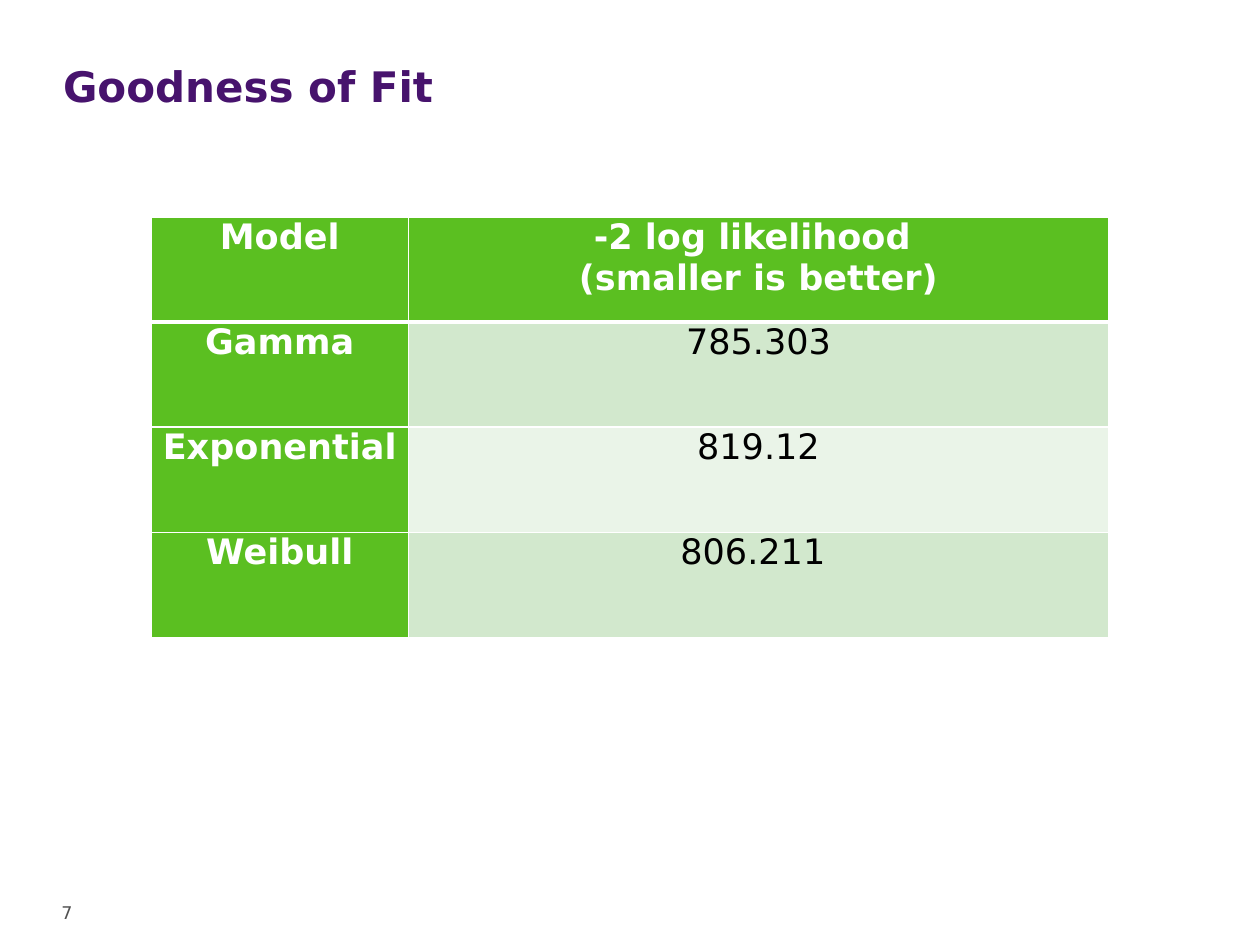
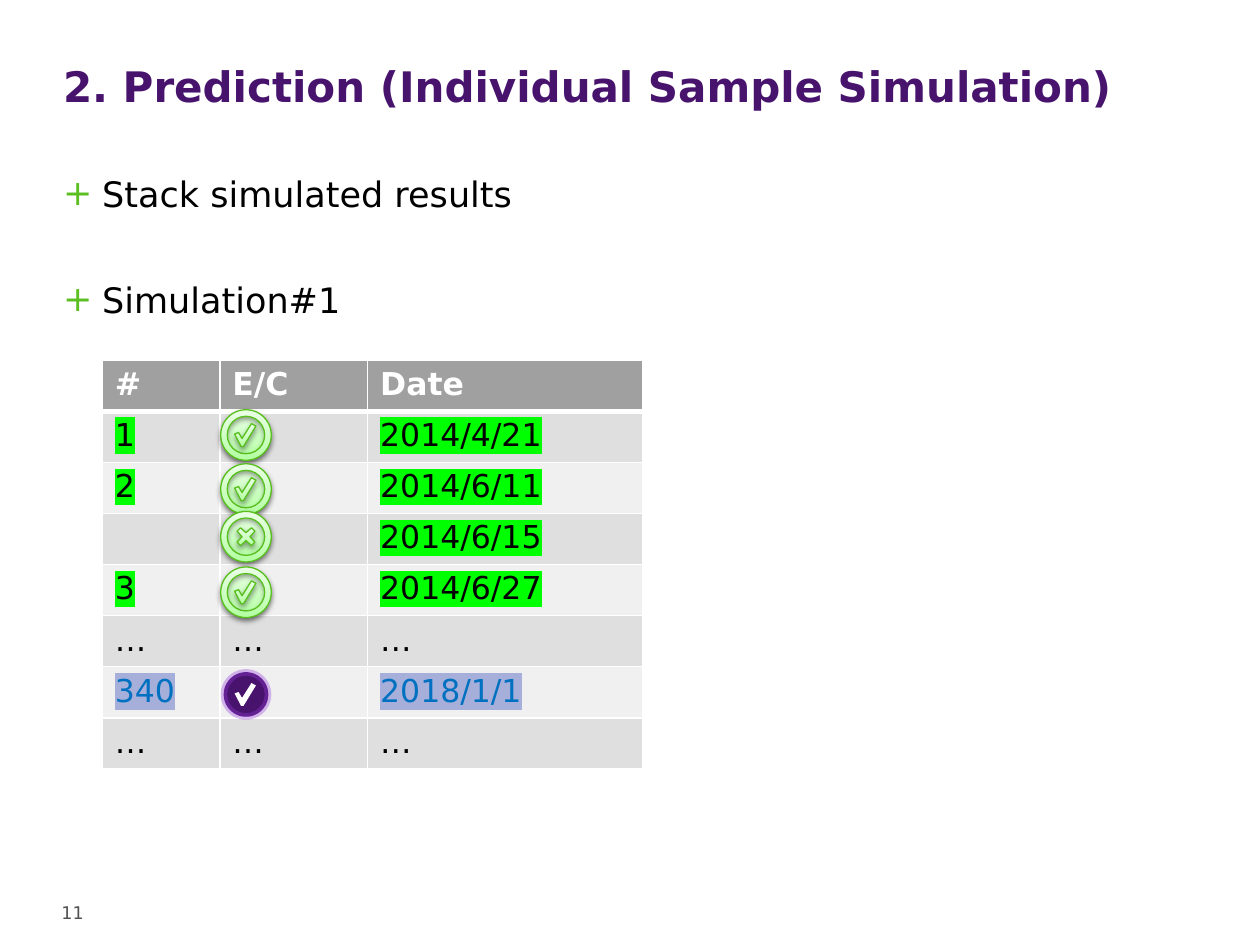
import copy

import pptx
import pptx.dml.color
import pptx.enum.shapes
import pptx.enum.text
import pptx.oxml
import pptx.oxml.ns
import pptx.util

Cm = pptx.util.Cm
Pt = pptx.util.Pt
qn = pptx.oxml.ns.qn
MSO_SHAPE = pptx.enum.shapes.MSO_SHAPE
ANCHOR = pptx.enum.text.MSO_ANCHOR
ALIGN = pptx.enum.text.PP_ALIGN

FONT = "DejaVu Sans"
COLORS = {
    "purple": "47136D", "violet": "993CDD", "green": "5BBF21", "white": "FFFFFF",
    "black": "000000", "page": "515151", "mint": "D2E8CD", "pale mint": "EAF4E8",
    "gray": "A0A0A0", "silver": "DFDFDF", "pale gray": "F0F0F0",
    "blue": "0070C0", "lime mark": "00FF00", "blue mark": "A6AFDA",
    "badge edge": "58BF1C", "badge low": "B2FFA0", "badge mid": "C8FFBC",
    "badge high": "EAFFE6",
}
BADGE_STOPS = [(0, "badge low"), (0.35, "badge mid"), (1, "badge high")]
BADGE_SIZE = 1.02
NO_INSETS = {"margin_left": 0, "margin_top": 0, "margin_right": 0, "margin_bottom": 0}

# Outlines in cm from the badge's top left corner
TICK = [(0.71, 0.33), (0.62, 0.28), (0.43, 0.58), (0.36, 0.46),
        (0.28, 0.49), (0.41, 0.74), (0.46, 0.74)]
CROSS_ARM = [(0, -0.08), (0.11, -0.18), (0.18, -0.11)]


def rgb(color):
    return pptx.dml.color.RGBColor.from_string(COLORS[color])


def set_values(target, values):
    for attribute, value in values.items():
        setattr(target, attribute, value)


def add_xml(parent, xml, index=None):
    """Insert an element of the drawing namespace, at the end by default."""
    tag, rest = xml[1:].split(" ", 1)
    element = pptx.oxml.parse_xml(f"<{tag} {pptx.oxml.ns.nsdecls('a')} {rest}")
    parent.insert(len(parent) if index is None else index, element)


def color_xml(color, inner=""):
    return f'<a:srgbClr val="{COLORS[color]}">{inner}</a:srgbClr>'


def format_font(font, size, color, bold=False):
    set_values(font, {"name": FONT, "size": Pt(size), "bold": bold})
    font.color.rgb = rgb(color)


def place(shape, left, top, width, height):
    set_values(shape, {"left": Cm(left), "top": Cm(top),
                       "width": Cm(width), "height": Cm(height)})


def format_frame(frame, anchor):
    set_values(frame, NO_INSETS | {"word_wrap": True, "vertical_anchor": anchor,
                                   "auto_size": pptx.enum.text.MSO_AUTO_SIZE.NONE})


def add_line(frame, text, size, color, bold=False):
    """Write text as the frame's first paragraph."""
    paragraph = frame.paragraphs[0]
    paragraph.alignment = ALIGN.LEFT
    run = paragraph.add_run()
    run.text = text
    format_font(run.font, size, color, bold)


def add_page(deck, layout, heading, number):
    page = deck.slides.add_slide(deck.slide_layouts[layout])
    title = page.shapes.title
    place(title, 1.27, 0.64, 22.86, 2.18)
    format_frame(title.text_frame, ANCHOR.MIDDLE)
    add_line(title.text_frame, heading, 24, "purple", True)

    page_number = page.shapes.add_textbox(Cm(1.24), Cm(18.08), Cm(1.09), Cm(0.64))
    format_frame(page_number.text_frame, ANCHOR.MIDDLE)
    add_line(page_number.text_frame, str(number), 10, "page")
    return page


def fill_bullets(page, bullets):
    """Write (text, space before) pairs into the body placeholder."""
    body = page.placeholders[1]
    place(body, 1.27, 3.48, 21.56, 13.94)
    frame = body.text_frame
    format_frame(frame, ANCHOR.TOP)
    frame.text = "\n".join(text for text, _ in bullets)
    for paragraph, (_, space) in zip(frame.paragraphs, bullets):
        paragraph.space_before = Pt(space)
        format_font(paragraph.runs[0].font, 20, "black")
        properties = paragraph._p.get_or_add_pPr()
        properties.set("marL", str(Cm(0.79)))
        properties.set("indent", str(-Cm(0.79)))
        add_xml(properties, f'<a:buClr >{color_xml("green")}</a:buClr>')
        add_xml(properties, f'<a:buFont typeface="{FONT}"/>')
        add_xml(properties, '<a:buChar char="+"/>')


def draw_borders(cell, row):
    """White rules, with a thicker one below the header row."""
    widths = {"lnL": 1, "lnR": 1, "lnT": 3 if row == 1 else 1, "lnB": 3 if row == 0 else 1}
    for index, (side, width) in enumerate(widths.items()):
        add_xml(cell._tc.get_or_add_tcPr(),
                f'<a:{side} w="{Pt(width)}"><a:solidFill>{color_xml("white")}'
                f'</a:solidFill></a:{side}>', index)


def add_grid(page, left, top, widths, row_height, rows, size, style, cell_format, alignment):
    """style(row, column) gives fill, text colour, bold and highlight."""
    table = page.shapes.add_table(len(rows), len(widths), Cm(left), Cm(top),
                                  Cm(sum(widths)), Cm(row_height * len(rows))).table
    table.horz_banding = False
    for column, width in zip(table.columns, widths):
        column.width = Cm(width)
    for r, texts in enumerate(rows):
        table.rows[r].height = Cm(row_height)
        for c, text in enumerate(texts):
            fill, color, bold, highlight = style(r, c)
            cell = table.cell(r, c)
            set_values(cell, cell_format)
            cell.fill.solid()
            cell.fill.fore_color.rgb = rgb(fill)
            draw_borders(cell, r)
            cell.text = text
            for paragraph in cell.text_frame.paragraphs:
                paragraph.alignment = alignment
                for run in paragraph.runs:
                    format_font(run.font, size, color, bold)
                    if highlight:
                        properties = run._r.get_or_add_rPr()
                        add_xml(properties,
                                f'<a:highlight >{color_xml(highlight)}</a:highlight>', 1)


def model_style(row, column):
    if row == 0 or column == 0:
        return "green", "white", True, None
    return ("mint" if row % 2 else "pale mint"), "black", False, None


def simulation_style(row, column):
    if row == 0:
        return "gray", "white", True, None
    fill = "silver" if row % 2 else "pale gray"
    if row == 6:
        return fill, "blue", False, "blue mark"
    return fill, "black", False, "lime mark" if row < 5 else None


def cross_outline():
    """Turn one arm of the cross through four quarter turns."""
    outline, arm, center = [], CROSS_ARM, BADGE_SIZE / 2
    for _ in range(4):
        outline += [(center + x, center + y) for x, y in arm]
        arm = [(-y, x) for x, y in arm]
    return outline


def format_glossy(shape):
    fill = shape.fill
    fill.gradient()
    fill.gradient_angle = 90
    stops = shape._element.spPr.find(qn("a:gradFill")).find(qn("a:gsLst"))
    stops.insert(1, copy.deepcopy(stops[0]))
    for stop, (position, color) in zip(fill.gradient_stops, BADGE_STOPS):
        stop.position = position
        stop.color.rgb = rgb(color)
    shape.line.color.rgb = rgb("badge edge")
    shape.line.width = Pt(0.75)
    add_xml(shape._element.spPr.find(qn("a:effectLst")),
            '<a:outerShdw blurRad="40000" dist="20000" dir="5400000" rotWithShape="0">'
            + color_xml("black", '<a:alpha val="38000"/>') + "</a:outerShdw>")


def format_flat(shape, color):
    shape.fill.solid()
    shape.fill.fore_color.rgb = rgb(color)
    shape.line.fill.background()


def add_badge(page, left, top, outline, glossy=True):
    """A disc with a ring around it and a mark drawn on it."""
    parts = page.shapes.add_group_shape().shapes
    inset = 0.06
    disc_size = Cm(BADGE_SIZE - 2 * inset)
    disc = parts.add_shape(MSO_SHAPE.OVAL, Cm(left + inset), Cm(top + inset),
                           disc_size, disc_size)
    ring = parts.add_shape(MSO_SHAPE.DONUT, Cm(left), Cm(top), Cm(BADGE_SIZE), Cm(BADGE_SIZE))
    ring.adjustments[0] = 0.13
    points = [(Cm(x), Cm(y)) for x, y in outline]
    builder = parts.build_freeform(*points[0])
    builder.add_line_segments(points[1:], close=True)
    mark = builder.convert_to_shape(Cm(left), Cm(top))

    for part, color in ((disc, "purple"), (ring, "violet"), (mark, "white")):
        part.shadow.inherit = False
        if glossy:
            format_glossy(part)
        else:
            format_flat(part, color)
    if not glossy:
        ring_color = ring._element.spPr.find(qn("a:solidFill"))[0]
        add_xml(ring_color, '<a:alpha val="35000"/>')


def build_fit_page(deck):
    page = add_page(deck, 5, "Goodness of Fit", 7)
    models = [
        ("Model", "-2 log likelihood \n(smaller is better)"),
        ("Gamma", "785.303"),
        ("Exponential ", "819.12"),
        ("Weibull", "806.211 "),
    ]
    insets = NO_INSETS | {"margin_left": Cm(0.18), "margin_right": Cm(0.18)}
    add_grid(page, 3.05, 4.37, [5.18, 14.12], 2.12, models, 20,
             model_style, insets, ALIGN.CENTER)


def build_prediction_page(deck):
    page = add_page(deck, 1, "2. Prediction (Individual Sample Simulation)", 11)
    fill_bullets(page, [("Stack simulated results", 6), ("Simulation#1", 36.5)])
    events = [
        ("#", "E/C", "Date"),
        ("1", "", "2014/4/21"),
        ("2", "", "2014/6/11"),
        ("", "", "2014/6/15"),
        ("3", "", "2014/6/27"),
        ("…", "…", "…"),
        ("340", "", "2018/1/1"),
        ("…", "…", "…"),
    ]
    add_grid(page, 2.06, 7.26, [2.37, 2.98, 5.54], 1.03, events, 18,
             simulation_style, {}, ALIGN.LEFT)
    badge_left = 4.45
    for top, outline in ((8.26, TICK), (9.35, TICK), (10.31, cross_outline()), (11.43, TICK)):
        add_badge(page, badge_left, top, outline)
    add_badge(page, badge_left, 13.49, TICK, glossy=False)


def main():
    deck = pptx.Presentation()
    deck.slide_width, deck.slide_height = Cm(25.4), Cm(19.05)
    build_fit_page(deck)
    build_prediction_page(deck)
    deck.save("out.pptx")


if __name__ == "__main__":
    main()
